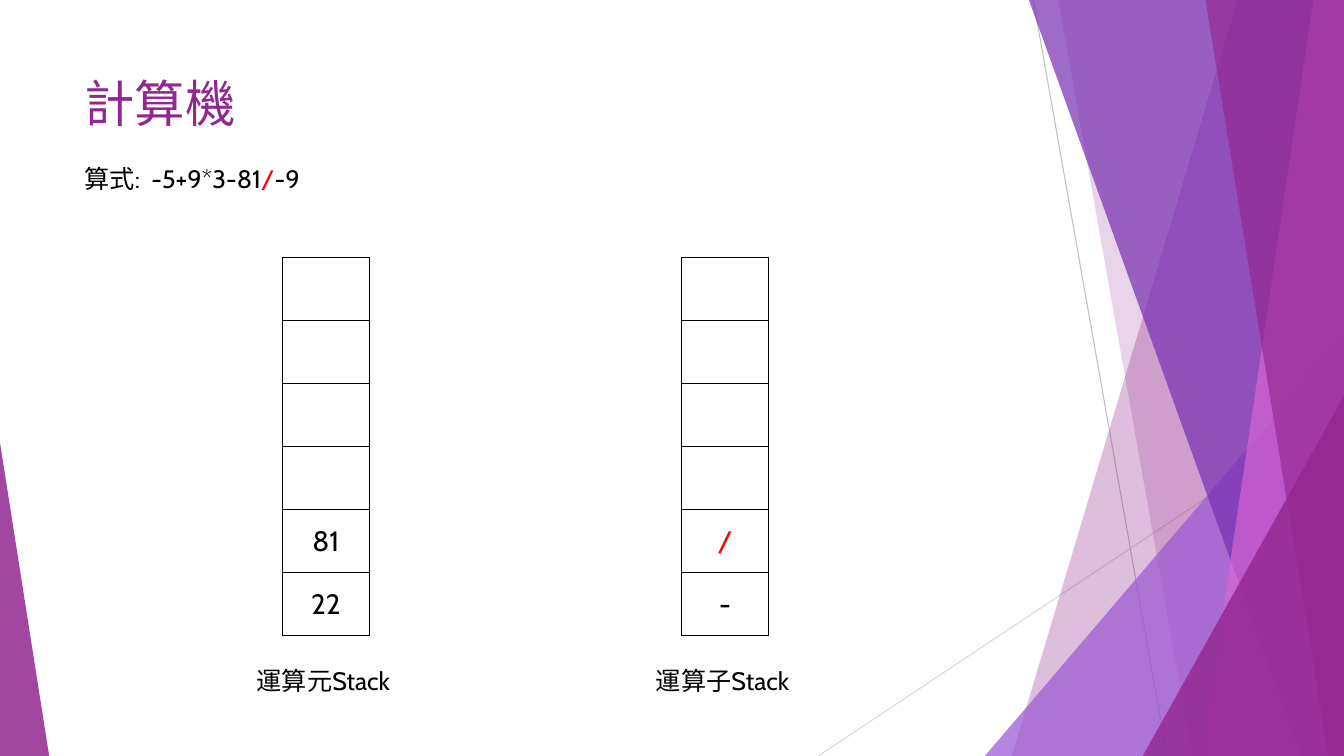
from lxml.etree import SubElement
from pptx import Presentation
from pptx.dml.color import RGBColor
from pptx.enum.shapes import MSO_CONNECTOR as Connector, MSO_SHAPE as Shape
from pptx.enum.text import MSO_ANCHOR as Anchor, PP_ALIGN as Align
from pptx.oxml.ns import qn
from pptx.util import Cm, Pt

WIDTH, HEIGHT = 33.87, 19.05
PLUM, VIOLET, INDIGO, ORCHID = "92278F", "9B57D3", "762EB1", "D665D3"
BLACK, RED = "000000", "FF0000"


def color(value):
    return RGBColor.from_string(value)


class SlideBuilder:
    font = "Cabin"

    def __init__(self, deck):
        self.page = deck.slides.add_slide(deck.slide_layouts[6])
        self.shapes = self.page.shapes

    def line(self, start, end, hue):
        x1, y1, x2, y2 = (Cm(value) for value in (*start, *end))
        connector = self.shapes.add_connector(Connector.STRAIGHT, x1, y1, x2, y2)
        connector.line.color.rgb = color(hue)
        connector.line.width = Pt(0.75)
        SubElement(connector._element.spPr, qn("a:effectLst"))

    def paint(self, shape, hue, opacity):
        """Fill a shape with a see-through colour; opacity is in percent."""
        shape.shadow.inherit = False
        shape.line.fill.background()
        shape.fill.solid()
        shape.fill.fore_color.rgb = color(hue)
        tint = shape._element.spPr.find(qn("a:solidFill"))[0]
        SubElement(tint, qn("a:alpha")).set("val", str(opacity * 1000))

    def shard(self, top_x, bottom_x, hue, opacity):
        """Draw a full-height band from a slanted left edge to the right slide edge."""
        corners = [(top_x, 0), (WIDTH, 0), (WIDTH, HEIGHT), (bottom_x, HEIGHT)]
        points = [(Cm(x), Cm(y)) for x, y in corners]
        builder = self.shapes.build_freeform(*points[0])
        builder.add_line_segments(points[1:], close=True)
        self.paint(builder.convert_to_shape(), hue, opacity)

    def triangle(self, left, top, width, peak, hue, opacity):
        """Draw a triangle that stands on the bottom edge of the slide."""
        shape = self.shapes.add_shape(
            Shape.ISOSCELES_TRIANGLE, Cm(left), Cm(top), Cm(width), Cm(HEIGHT - top))
        shape.adjustments[0] = peak
        self.paint(shape, hue, opacity)

    def style(self, span, size, hue):
        span.font.name = self.font
        span.font.size = Pt(size)
        span.font.color.rgb = color(hue)

    def text(self, left, top, width, height, size, spans):
        """Place one paragraph made of (text, colour) spans."""
        box = self.shapes.add_textbox(Cm(left), Cm(top), Cm(width), Cm(height))
        box.text_frame.word_wrap = True
        para = box.text_frame.paragraphs[0]
        for words, hue in spans:
            span = para.add_run()
            span.text = words
            self.style(span, size, hue)

    def border(self, cell):
        properties = cell._tc.get_or_add_tcPr()
        for position, side in enumerate(("a:lnL", "a:lnR", "a:lnT", "a:lnB")):
            edge = properties.makeelement(qn(side), {"w": str(Pt(1))})
            fill = SubElement(edge, qn("a:solidFill"))
            SubElement(fill, qn("a:srgbClr")).set("val", BLACK)
            properties.insert(position, edge)

    def stack(self, left, top, entries, label, slots=6):
        """Draw a one-column stack, filled from the bottom, with its label."""
        width, slot_height = 2.2, 1.59
        table = self.shapes.add_table(
            slots, 1, Cm(left), Cm(top), Cm(width), Cm(slots * slot_height)).table
        table.first_row = table.horz_banding = False
        first_entry = slots - len(entries)
        for row in range(slots):
            table.rows[row].height = Cm(slot_height)
            cell = table.cell(row, 0)
            cell.fill.background()
            self.border(cell)
            if row >= first_entry:
                words, hue = entries[row - first_entry]
                cell.vertical_anchor = Anchor.MIDDLE
                cell.text_frame.text = words
                para = cell.text_frame.paragraphs[0]
                para.alignment = Align.CENTER
                self.style(para.runs[0], 20, hue)
        self.text(left - 0.89, 16.64, 3.99, 1.02, 18, [(label, BLACK)])


def main():
    deck = Presentation()
    deck.slide_width, deck.slide_height = Cm(WIDTH), Cm(HEIGHT)
    slide = SlideBuilder(deck)

    slide.line((26.04, 0), (29.41, HEIGHT), "BFBFBF")
    slide.line((WIDTH, 10.24), (20.62, HEIGHT), "D9D9D9")
    slide.shard(31.19, 25.5, PLUM, 30)
    slide.shard(26.67, 30.05, PLUM, 20)
    slide.triangle(24.82, 8.46, 9.05, 1, VIOLET, 72)
    slide.shard(25.93, 32.79, INDIGO, 70)
    slide.shard(33.1, 30.28, ORCHID, 70)
    slide.shard(30.38, 33.48, PLUM, 65)
    slide.triangle(28.8, 9.98, 5.07, 1, PLUM, 80)
    slide.triangle(0, 11.15, 1.24, 0, PLUM, 85)

    slide.text(1.88, 1.7, 23.88, 3.66, 36, [("計算機", PLUM)])
    slide.stack(7.11, 6.48, [("81", BLACK), ("22", BLACK)], "運算元Stack")
    slide.stack(17.17, 6.48, [("/", RED), ("-", BLACK)], "運算子Stack")
    slide.text(1.88, 3.99, 6.07, 1.02, 18,
               [("算式:  -5+9*3-81", BLACK), ("/", RED), ("-9", BLACK)])
    deck.save("out.pptx")


if __name__ == "__main__":
    main()
